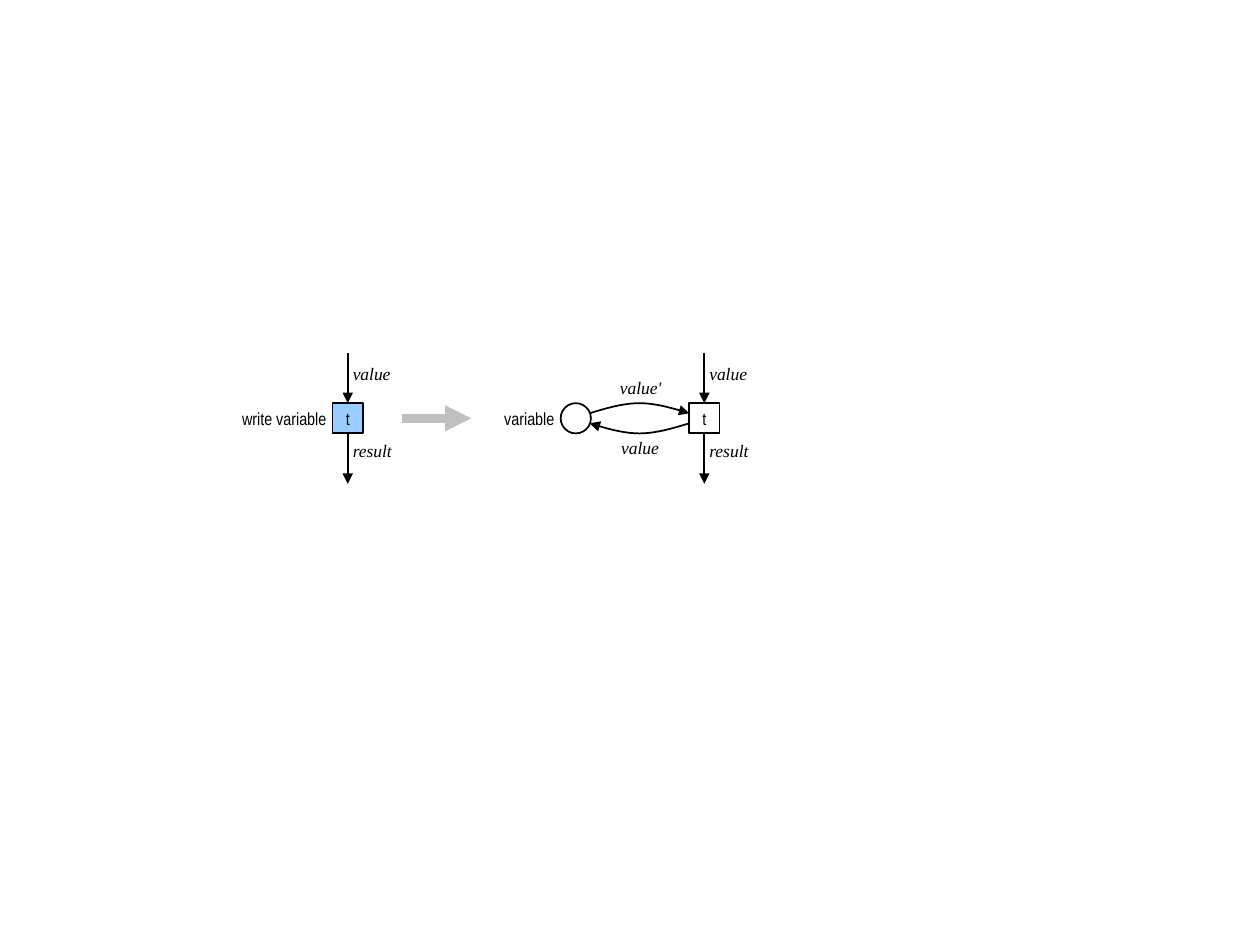
from dataclasses import dataclass

from lxml.etree import SubElement
from pptx import Presentation
from pptx.dml.color import RGBColor
from pptx.enum.shapes import MSO_CONNECTOR as Connector, MSO_SHAPE as Shape
from pptx.enum.text import MSO_ANCHOR as Anchor, MSO_AUTO_SIZE as Fit, PP_ALIGN as Align
from pptx.oxml.ns import qn
from pptx.util import Inches, Pt


@dataclass(frozen=True)
class Theme:
    ink: str = "000000"
    paper: str = "FFFFFF"
    highlight: str = "99CCFF"
    muted: str = "C0C0C0"
    node_font: str = "Arial Narrow"
    flow_font: str = "Times New Roman"
    text_size: float = 10
    stroke: float = 1
    heavy_stroke: float = 5


def write(frame, text, *, font, size, color, italic=False, align=Align.LEFT,
          anchor=Anchor.TOP, insets=(0, 0), fit=Fit.NONE):
    frame.word_wrap = False
    frame.auto_size = fit
    frame.vertical_anchor = anchor
    frame.margin_left = frame.margin_right = Inches(insets[0])
    frame.margin_top = frame.margin_bottom = Inches(insets[1])
    paragraph = frame.paragraphs[0]
    paragraph.alignment = align
    run = paragraph.add_run()
    run.text = text
    run.font.name = font
    run.font.size = Pt(size)
    run.font.italic = italic
    run.font.color.rgb = RGBColor.from_string(color)


class Diagram:
    NODE = 0.24
    MIDDLE = 3.32
    FLOW = 0.4

    def __init__(self, slide, theme):
        self.shapes = slide.shapes
        self.theme = theme

    def outline(self, item, color, width):
        item.line.color.rgb = RGBColor.from_string(color)
        item.line.width = Pt(width)

    def arrowhead(self, item):
        SubElement(item.line._get_or_add_ln(), qn("a:tailEnd"), type="triangle")

    def arrow(self, start, end, color=None, width=None):
        line = self.shapes.add_connector(
            Connector.STRAIGHT, *[Inches(v) for v in (*start, *end)])
        self.outline(line, color or self.theme.ink, width or self.theme.stroke)
        self.arrowhead(line)
        SubElement(line._element.spPr, qn("a:effectLst"))

    def arc(self, start_x, end_x, edge_y, peak_y, steps=24):
        points = []
        for step in range(steps + 1):
            share = step / steps
            distance = abs(2 * share - 1)
            x = start_x + (end_x - start_x) * share
            y = peak_y + (edge_y - peak_y) * distance ** 2 * (3 - distance) / 2
            points.append((Inches(x), Inches(y)))
        builder = self.shapes.build_freeform(*points[0])
        builder.add_line_segments(points[1:], close=False)
        curve = builder.convert_to_shape()
        curve.shadow.inherit = False
        curve.fill.background()
        self.outline(curve, self.theme.ink, self.theme.stroke)
        self.arrowhead(curve)

    def node(self, kind, center, fill, text=None):
        half = self.NODE / 2
        node = self.shapes.add_shape(
            kind, Inches(center - half), Inches(self.MIDDLE - half),
            Inches(self.NODE), Inches(self.NODE))
        node.shadow.inherit = False
        node.fill.solid()
        node.fill.fore_color.rgb = RGBColor.from_string(fill)
        self.outline(node, self.theme.ink, self.theme.stroke)
        if text:
            write(node.text_frame, text, font=self.theme.node_font,
                  size=self.theme.text_size, color=self.theme.ink,
                  align=Align.CENTER, anchor=Anchor.MIDDLE, insets=(0.1, 0.05))

    def text_box(self, text, left, top, width, height, **style):
        box = self.shapes.add_textbox(*[Inches(v) for v in (left, top, width, height)])
        write(box.text_frame, text, size=self.theme.text_size,
              color=self.theme.ink, **style)

    def flow_label(self, text, left, top, width):
        self.text_box(text, left, top, width, 0.17, font=self.theme.flow_font,
                      italic=True, fit=Fit.SHAPE_TO_FIT_TEXT)

    def node_label(self, text, center):
        width = 0.23
        self.text_box(text, center - self.NODE / 2 - 0.01 - width,
                      self.MIDDLE - self.NODE / 2, width, self.NODE,
                      font=self.theme.node_font, align=Align.RIGHT,
                      anchor=Anchor.MIDDLE, insets=(0.04, 0))

    def transition(self, center, fill):
        top = self.MIDDLE - self.NODE / 2
        bottom = self.MIDDLE + self.NODE / 2
        self.arrow((center, bottom), (center, bottom + self.FLOW))
        self.arrow((center, top - self.FLOW), (center, top))
        self.node(Shape.RECTANGLE, center, fill, "t")
        self.flow_label("value", center + 0.04, 2.88, 0.3)
        self.flow_label("result", center + 0.04, 3.49, 0.32)


def main():
    presentation = Presentation()
    presentation.slide_width = Inches(10)
    presentation.slide_height = Inches(7.5)
    theme = Theme()
    slide = presentation.slides.add_slide(presentation.slide_layouts[6])
    diagram = Diagram(slide, theme)

    shorthand_x, place_x, expanded_x = 2.76, 4.57, 5.59
    diagram.transition(shorthand_x, theme.highlight)
    diagram.node_label("write variable", shorthand_x)
    diagram.arrow((3.19, diagram.MIDDLE), (3.74, diagram.MIDDLE),
                  theme.muted, theme.heavy_stroke)

    diagram.transition(expanded_x, theme.paper)
    diagram.node(Shape.OVAL, place_x, theme.paper)
    diagram.node_label("variable", place_x)

    place_edge, transition_edge = 4.68, expanded_x - diagram.NODE / 2
    diagram.arc(transition_edge, place_edge, diagram.MIDDLE + 0.04, diagram.MIDDLE + 0.12)
    diagram.arc(place_edge, transition_edge, diagram.MIDDLE - 0.04, diagram.MIDDLE - 0.12)
    diagram.flow_label("value'", 4.92, 2.99, 0.33)
    diagram.flow_label("value", 4.93, 3.47, 0.3)

    presentation.save("out.pptx")


if __name__ == "__main__":
    main()
